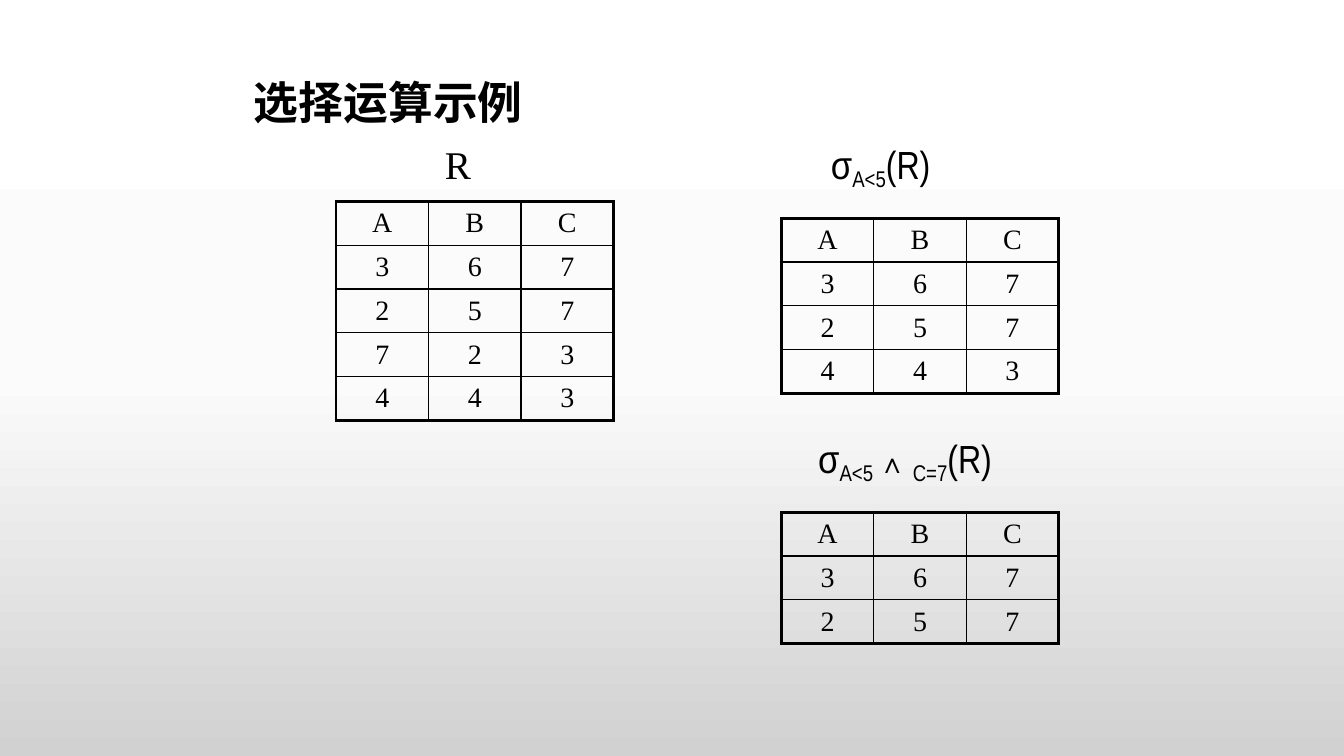
from dataclasses import dataclass

from lxml.etree import SubElement
from pptx import Presentation
from pptx.dml.color import RGBColor
from pptx.enum.text import MSO_ANCHOR, PP_ALIGN
from pptx.oxml.ns import qn
from pptx.util import Cm, Pt


@dataclass(frozen=True)
class Theme:
    ink: str = "000000"
    backdrop: tuple = ((0, "FFFFFF"), (50, "FBFBFB"), (100, "D1D1D1"))
    title_font: str = "Arial"
    formula_font: str = "Arial Narrow"
    table_font: str = "Times New Roman"
    title_size: int = 32
    label_size: int = 28
    small_size: int = 20
    frame_width: float = 2.25
    grid_width: float = 1
    column_width: float = 2.33


class RelationSlide:
    def __init__(self, deck, theme):
        self.theme = theme
        self.slide = deck.slides.add_slide(deck.slide_layouts[6])

    def backdrop(self):
        fill = self.slide.background.fill
        fill.gradient()
        fill.gradient_angle = 270
        stops = next(self.slide.element.iter(qn("a:gsLst")))
        for stop in list(stops):
            stops.remove(stop)
        for percent, color in self.theme.backdrop:
            stop = SubElement(stops, qn("a:gs"), pos=str(percent * 1000))
            SubElement(stop, qn("a:srgbClr"), val=color)

    def style(self, run, font, size, bold=False):
        run.font.name = font
        run.font.size = Pt(size)
        run.font.bold = bold
        run.font.color.rgb = RGBColor.from_string(self.theme.ink)

    def frame(self, left, top, width, height, anchor):
        box = self.slide.shapes.add_textbox(Cm(left), Cm(top), Cm(width), Cm(height))
        box.text_frame.word_wrap = True
        box.text_frame.vertical_anchor = anchor
        return box.text_frame.paragraphs[0]

    def title(self, text, *place):
        heading = self.frame(*place, MSO_ANCHOR.MIDDLE)
        heading.text = text
        heading.line_spacing = 0.9
        self.style(heading.runs[0], self.theme.title_font, self.theme.title_size, True)

    def label(self, parts, font, *place):
        """Each part is (text, size, is_subscript)."""
        expression = self.frame(*place, MSO_ANCHOR.BOTTOM)
        expression.alignment = PP_ALIGN.CENTER
        for text, size, is_subscript in parts:
            run = expression.add_run()
            run.text = text
            self.style(run, font, size)
            if is_subscript:
                run.font._element.set("baseline", "-20000")

    def border(self, cell, side, width):
        line = SubElement(cell._tc.get_or_add_tcPr(), qn(f"a:ln{side}"), w=str(Pt(width)))
        SubElement(SubElement(line, qn("a:solidFill")), qn("a:srgbClr"), val=self.theme.ink)

    def relation(self, rows, left, top, row_height):
        theme = self.theme
        last_row, last_column = len(rows) - 1, len(rows[0]) - 1
        table = self.slide.shapes.add_table(
            len(rows), len(rows[0]), Cm(left), Cm(top),
            Cm(theme.column_width * len(rows[0])), Cm(row_height * len(rows))).table
        table.first_row = table.horz_banding = False
        for column in table.columns:
            column.width = Cm(theme.column_width)
        for r, values in enumerate(rows):
            table.rows[r].height = Cm(row_height)
            for c, value in enumerate(values):
                cell = table.cell(r, c)
                # Heavy outer frame, thin inner grid
                outer = {"L": c == 0, "R": c == last_column, "T": r == 0, "B": r == last_row}
                for side, is_outer in outer.items():
                    self.border(cell, side, theme.frame_width if is_outer else theme.grid_width)
                cell.fill.background()
                cell.vertical_anchor = MSO_ANCHOR.MIDDLE
                entry = cell.text_frame.paragraphs[0]
                entry.text = value
                entry.alignment = PP_ALIGN.CENTER
                self.style(entry.runs[0], theme.table_font, theme.small_size)


def main():
    deck = Presentation()
    deck.slide_width, deck.slide_height = Cm(33.87), Cm(19.05)
    theme = Theme()
    example = RelationSlide(deck, theme)
    example.backdrop()
    example.title("选择运算示例", 6.15, 1.7, 21.59, 1.9)

    # Source relation R
    size = theme.label_size
    example.relation(["ABC", "367", "257", "723", "443"], 8.47, 5.08, 1.04)
    example.label([("R", size, False)], theme.table_font, 10.8, 3.39, 1.48, 1.45)

    # Selection on A
    example.label([("σ", size, False), ("A<5", size, True), ("(R)", size, False)],
                  theme.formula_font, 19.97, 3.18, 4.45, 1.78)
    example.relation(["ABC", "367", "257", "443"], 19.69, 5.5, 1.1)

    # Selection on A and C
    example.label([("σ", size, False), ("A<5 ", size, True), ("∧ ", theme.small_size, False),
                   ("C=7", size, True), ("(R)", size, False)],
                  theme.formula_font, 19.53, 10.58, 6.56, 1.78)
    example.relation(["ABC", "367", "257"], 19.69, 12.91, 1.1)

    deck.save("out.pptx")


if __name__ == "__main__":
    main()
